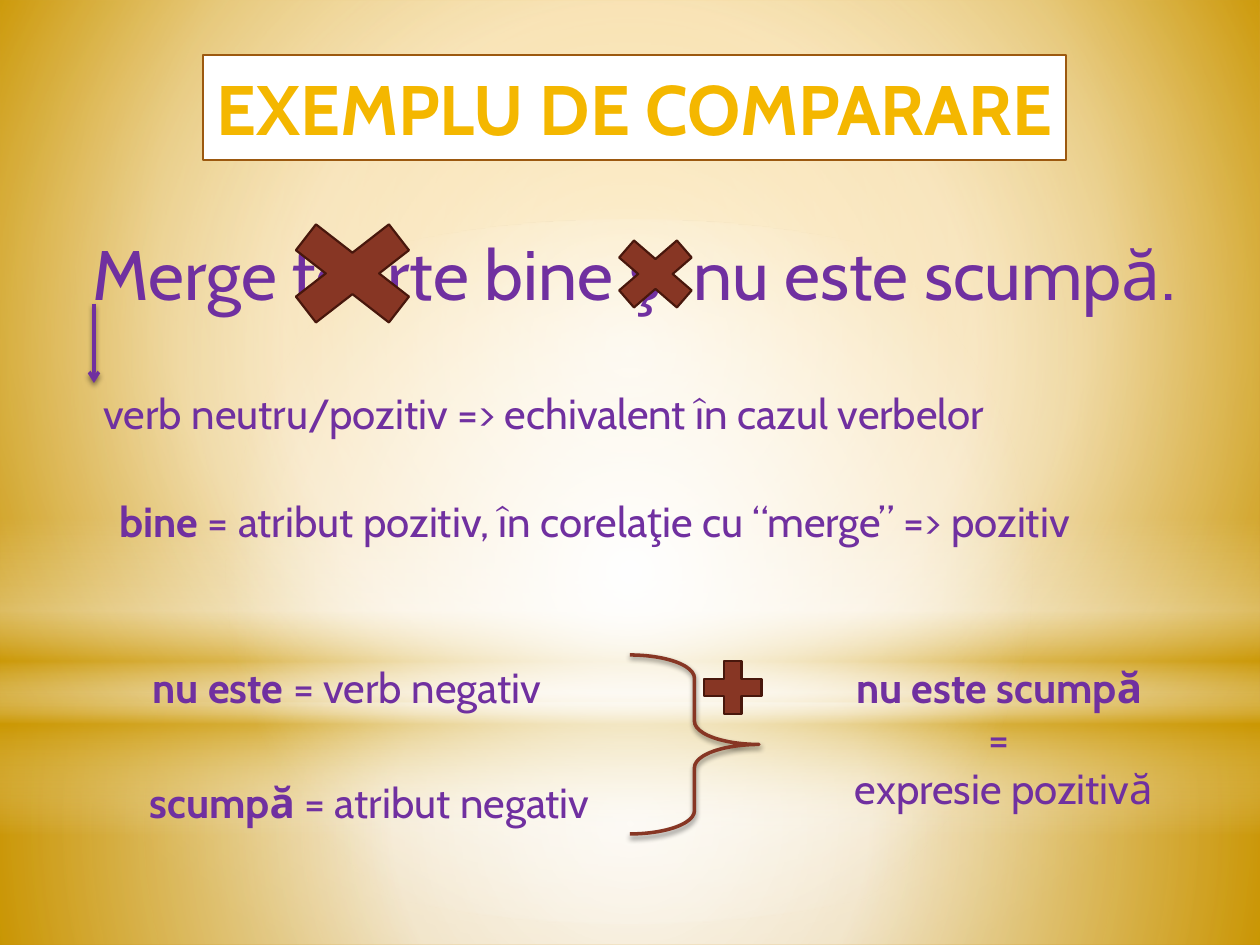
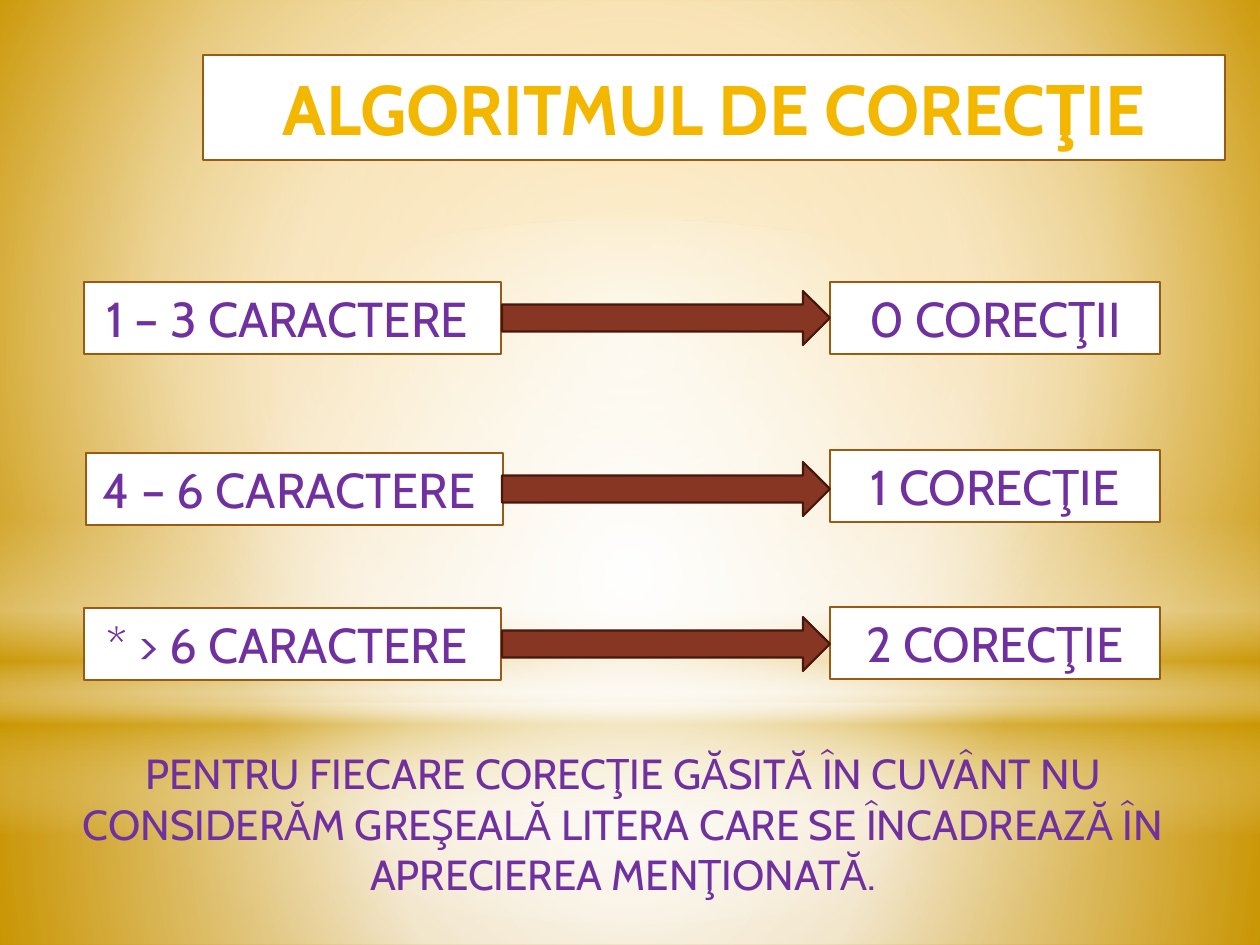
from lxml import etree
from pptx import Presentation
from pptx.dml.color import RGBColor
from pptx.enum.shapes import MSO_CONNECTOR, MSO_SHAPE
from pptx.enum.text import MSO_ANCHOR, MSO_AUTO_SIZE, PP_ALIGN
from pptx.oxml import parse_xml
from pptx.oxml.ns import nsdecls, qn
from pptx.util import Pt

RECTANGLE, ELLIPSE = MSO_SHAPE.RECTANGLE, MSO_SHAPE.OVAL
CROSS, PLUS = MSO_SHAPE.MATH_MULTIPLY, MSO_SHAPE.MATH_PLUS
BRACE, RIGHT_ARROW = MSO_SHAPE.RIGHT_BRACE, MSO_SHAPE.RIGHT_ARROW
STRAIGHT = MSO_CONNECTOR.STRAIGHT
CENTER, MIDDLE = PP_ALIGN.CENTER, MSO_ANCHOR.MIDDLE
FIT_SHAPE = MSO_AUTO_SIZE.SHAPE_TO_FIT_TEXT
color = RGBColor.from_string

PX = 914400 / 126
FONT = "Cabin"
WHITE, GOLD, BAND_GOLD, PURPLE = "FFFFFF", "F4B700", "CC9900", "7030A0"
FRAME, BROWN, DARK_BROWN = "9C5910", "873624", "48170C"
TITLE = "title"


def place(slide, kind, box, fill=None, line=None, width=1.25):
    """Place a preset shape, the title, or a text box (kind None)."""
    left, top, wide, high = [int(value * PX) for value in box]
    if kind == TITLE:
        shape = slide.shapes.title
        shape.left, shape.top, shape.width, shape.height = left, top, wide, high
    elif kind is None:
        return slide.shapes.add_textbox(left, top, wide, high)
    else:
        shape = slide.shapes.add_shape(kind, left, top, wide, high)
        shape.shadow.inherit = False
    if fill:
        shape.fill.solid()
        shape.fill.fore_color.rgb = color(fill)
    else:
        shape.fill.background()
    if line:
        shape.line.color.rgb = color(line)
        shape.line.width = Pt(width)
    else:
        shape.line.fill.background()
    return shape


def write(shape, paragraphs, size, ink=PURPLE, wrap=True):
    """Write centred paragraphs, each a list of (text, bold) runs."""
    frame = shape.text_frame
    frame.word_wrap = wrap
    frame.auto_size = FIT_SHAPE
    frame.vertical_anchor = MIDDLE
    for index, runs in enumerate(paragraphs):
        paragraph = frame.add_paragraph() if index else frame.paragraphs[0]
        paragraph.alignment = CENTER
        for text, bold in runs:
            run = paragraph.add_run()
            run.text = text
            run.font.name = FONT
            run.font.size = Pt(size)
            run.font.bold = bold
            run.font.color.rgb = color(ink)


presentation = Presentation()
presentation.slide_width = int(1260 * PX)
presentation.slide_height = int(945 * PX)
title_only = presentation.slide_layouts[5]
master = presentation.slide_master

# Slides with framed titles
slides = []
for title, title_width in [("EXEMPLU DE COMPARARE", 863),
                           ("ALGORITMUL DE CORECŢIE", 1022)]:
    slide = presentation.slides.add_slide(title_only)
    shape = place(slide, TITLE, (203, 59, title_width, 97), WHITE, FRAME)
    write(shape, [[(title, True)]], 40, GOLD)
    slides.append(slide)
comparison, algorithm = slides

# Shared backdrop on the master: stops are (position, colour, opacity)
master.background.fill.solid()
backdrop = [(
    master.element.find(".//" + qn("p:bgPr")),
    [(0, "F0A600", 100), (60, "EDC67A", 100), (100, "C18810", 100)],
    (20, 10, 20, 60),
)]
CENTERED = (50, 50, 50, 50)
bands = [
    (RECTANGLE, (0, 703, 1260, 242),
     [(0, WHITE, 91), (37, WHITE, 76), (100, BAND_GOLD, 79)], CENTERED),
    (RECTANGLE, (0, 0, 1260, 703),
     [(0, WHITE, 89), (48, WHITE, 62), (100, BAND_GOLD, 79)], CENTERED),
    (RECTANGLE, (0, 519, 1260, 315),
     [(0, WHITE, 0), (29, WHITE, 30), (45, BAND_GOLD, 40),
      (55, WHITE, 26), (65, BAND_GOLD, 60), (100, WHITE, 0)], None),
    (ELLIPSE, (0, 220, 1260, 703),
     [(0, WHITE, 100), (56, WHITE, 0)], CENTERED),
]
master_tree = master.shapes._spTree
for index, (kind, box, stops, focus) in enumerate(bands):
    band = place(comparison, kind, box, WHITE)
    master_tree.insert(2 + index, band._element)
    backdrop.append((band._element.spPr, stops, focus))

for properties, stops, focus in backdrop:
    stop_xml = "".join(
        f'<a:gs pos="{position * 1000}"><a:srgbClr val="{tint}">'
        f'<a:alpha val="{opacity * 1000}"/></a:srgbClr></a:gs>'
        for position, tint, opacity in stops)
    if focus:
        left, top, right, bottom = [value * 1000 for value in focus]
        direction = (f'<a:path path="circle"><a:fillToRect l="{left}" t="{top}" '
                     f'r="{right}" b="{bottom}"/></a:path>')
    else:
        direction = '<a:lin ang="5400000" scaled="0"/>'
    gradient = parse_xml(f'<a:gradFill {nsdecls("a")} rotWithShape="1">'
                         f'<a:gsLst>{stop_xml}</a:gsLst>{direction}</a:gradFill>')
    properties.replace(properties.find(qn("a:solidFill")), gradient)

# Comparison: example sentence with the crossed-out words
sentence = place(comparison, None, (-18, 224, 1304, 97))
write(sentence, [[("Merge foarte bine şi nu este scumpă.", False)]], 40)
for box in [(263, 204, 179, 139), (600, 226, 111, 96)]:
    place(comparison, CROSS, box, BROWN, DARK_BROWN)

# Comparison: explanations
explanations = [
    ((44, 381, 1000, 63), "", "verb neutru/pozitiv => echivalent în cazul verbelor"),
    ((44, 489, 1101, 63), "bine ",
     "= atribut pozitiv, în corelaţie cu “merge” => pozitiv"),
    ((117, 655, 469, 63), "nu este ", "= verb negativ "),
    ((117, 770, 505, 63), "scumpă ", "= atribut negativ"),
]
for box, term, meaning in explanations:
    runs = [(term, True)] if term else []
    explanation = place(comparison, None, box)
    write(explanation, [runs + [(meaning, False)]], 24, wrap=False)

# Comparison: verb arrow, brace and plus sign
verb_arrow = comparison.shapes.add_connector(
    STRAIGHT, *[int(value * PX) for value in (94, 304, 94, 383)])
verb_arrow.line.color.rgb = color(PURPLE)
verb_arrow.line.width = Pt(2)
arrow_line = verb_arrow.line._get_or_add_ln()
etree.SubElement(arrow_line, qn("a:tailEnd"), type="arrow")
etree.SubElement(verb_arrow._element.spPr, qn("a:effectLst"))

brace = place(comparison, BRACE, (630, 655, 129, 179), None, BROWN, 2)
brace.adjustments[0] = 0.18
for shape in (verb_arrow, brace):
    effects = shape._element.spPr.find(qn("a:effectLst"))
    effects.append(parse_xml(
        f'<a:outerShdw {nsdecls("a")} blurRad="39370" dist="22860" dir="5400000" '
        'rotWithShape="0"><a:srgbClr val="000000"><a:alpha val="45000"/>'
        '</a:srgbClr></a:outerShdw>'))
place(comparison, PLUS, (694, 651, 78, 73), BROWN, DARK_BROWN)

# Comparison: conclusion
conclusion = place(comparison, None, (789, 655, 430, 165))
write(conclusion, [[("nu este scumpă ", True)], [("= ", False)],
                   [("expresie pozitivă", False)]], 24)

# Algorithm: word length, arrow, number of corrections
rules = [
    (84, 282, "1 – 3 CARACTERE ", 282, "0 CORECŢII"),
    (86, 453, "4 – 6 CARACTERE ", 450, "1 CORECŢIE"),
    (84, 608, "* > 6 CARACTERE ", 607, "2 CORECŢIE"),
]
for left, length_top, length, correction_top, correction in rules:
    for box, text in [((left, length_top, 417, 72), length),
                      ((830, correction_top, 330, 72), correction)]:
        cell = place(algorithm, RECTANGLE, box, WHITE, FRAME)
        write(cell, [[(text, False)]], 28)
    place(algorithm, RIGHT_ARROW, (502, length_top + 9, 328, 54),
          BROWN, DARK_BROWN)

# Algorithm: closing note
note = place(algorithm, None, (64, 741, 1118, 165))
write(note, [[("PENTRU FIECARE CORECŢIE GĂSITĂ ÎN CUVÂNT NU CONSIDERĂM GREŞEALĂ "
               "LITERA CARE SE ÎNCADREAZĂ ÎN APRECIEREA MENŢIONATĂ.", False)]], 24)

presentation.save("out.pptx")
